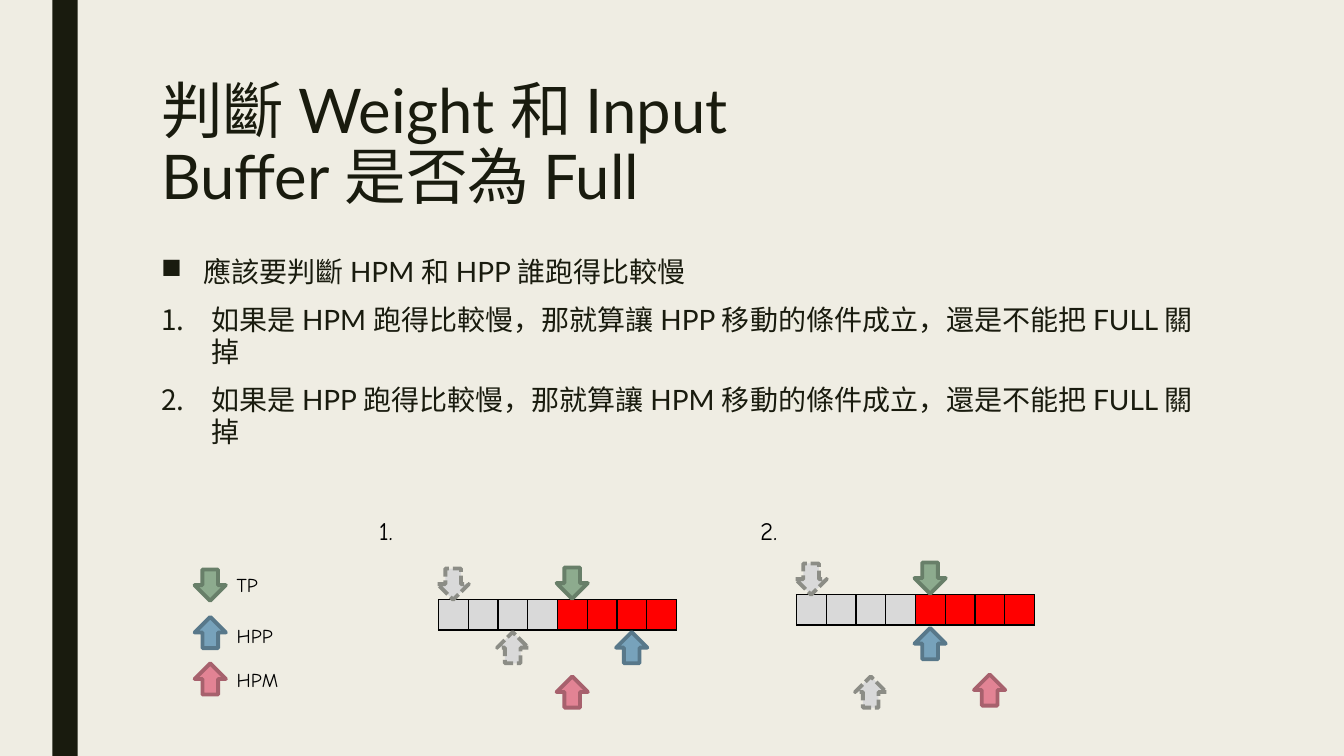
from dataclasses import dataclass

from lxml.etree import SubElement
from pptx import Presentation
from pptx.dml.color import RGBColor
from pptx.enum.dml import MSO_LINE
from pptx.enum.shapes import MSO_SHAPE as Shape
from pptx.enum.text import MSO_ANCHOR as Anchor, MSO_AUTO_SIZE as AutoSize, PP_ALIGN as Align
from pptx.oxml.ns import qn
from pptx.slide import Slide
from pptx.util import Inches, Pt

COLORS = {
    "background": "EFEDE3", "ink": "191B0E", "black": "000000",
    "free": "D9D9D9", "used": "FF0000",
    "TP": "8DAB8E", "TP line": "687F69",
    "HPP": "77A2BB", "HPP line": "58788A",
    "HPM": "E28394", "HPM line": "A7616D",
    "old": "D9D9D9", "old line": "8C8D86",
}
TEXT_FONT = "Lato"
LABEL_FONT = "Comic Neue"
ARROW_SIZE = 0.31
CELL_WIDTH = 0.295
CELL_HEIGHT = 0.3
HALF = 4


@dataclass(frozen=True)
class Pointer:
    kind: str
    cell: int
    offset: float
    up: bool


@dataclass(frozen=True)
class Buffer:
    left: float
    top: float
    pointers: tuple[Pointer, ...]


@dataclass(frozen=True)
class Label:
    text: str
    left: float
    top: float
    width: float
    height: float
    size: int


@dataclass(frozen=True)
class LegendEntry:
    label: Label
    arrow_top: float
    up: bool


@dataclass(frozen=True)
class Item:
    text: str
    indent: float
    bullet: str
    attribute: str
    value: str


BUFFERS = (
    Buffer(4.35, 5.95, (
        Pointer("TP", 4, -0.32, False), Pointer("HPP", 6, 0.32, True),
        Pointer("old", 0, -0.31, False), Pointer("HPM", 4, 0.76, True),
        Pointer("old", 2, 0.32, True))),
    Buffer(7.9, 5.9, (
        Pointer("TP", 4, -0.32, False), Pointer("HPP", 4, 0.33, True),
        Pointer("old", 0, -0.31, False), Pointer("HPM", 6, 0.79, True),
        Pointer("old", 2, 0.81, True))),
)
LEGEND = (
    LegendEntry(Label("TP", 2.25, 5.63, 0.44, 0.34, 14), 5.65, False),
    LegendEntry(Label("HPP", 2.25, 6.14, 0.56, 0.34, 14), 6.12, True),
    LegendEntry(Label("HPM", 2.25, 6.58, 0.63, 0.34, 14), 6.58, True),
)
CASE_LABELS = (
    Label("1.", 3.66, 5.06, 0.38, 0.4, 18),
    Label("2.", 7.44, 5.06, 0.42, 0.4, 18),
)
ITEMS = (
    Item("應該要判斷 HPM 和 HPP 誰跑得比較慢", 0.42, "a:buChar", "char", "■"),
    Item("如果是 HPM 跑得比較慢，那就算讓 HPP 移動的條件成立，還是不能把 FULL 關掉",
         0.5, "a:buAutoNum", "type", "arabicPeriod"),
    Item("如果是 HPP 跑得比較慢，那就算讓 HPM 移動的條件成立，還是不能把 FULL 關掉",
         0.5, "a:buAutoNum", "type", "arabicPeriod"),
)


def color(name: str) -> RGBColor:
    return RGBColor.from_string(COLORS[name])


def add_run(paragraph, text: str, font: str, size: int, ink: str) -> None:
    run = paragraph.add_run()
    run.text = text
    run.font.name = font
    run.font.size = Pt(size)
    run.font.color.rgb = color(ink)


def add_band(slide: Slide) -> None:
    band = slide.shapes.add_shape(Shape.RECTANGLE, Inches(0.52), 0, Inches(0.25), Inches(7.5))
    band.shadow.inherit = False
    band.fill.solid()
    band.fill.fore_color.rgb = color("ink")
    band.line.fill.background()


def fill_title(slide: Slide) -> None:
    title = slide.shapes.title
    title.left, title.top = Inches(1.5), Inches(0.75)
    title.width, title.height = Inches(10.5), Inches(1.62)
    frame = title.text_frame
    frame.word_wrap = True
    frame.auto_size = AutoSize.NONE
    frame.vertical_anchor = Anchor.TOP
    paragraph = frame.paragraphs[0]
    paragraph.alignment = Align.LEFT
    paragraph.line_spacing = 0.89
    add_run(paragraph, "判斷 Weight 和 Input ", TEXT_FONT, 44, "ink")
    paragraph.add_line_break()
    add_run(paragraph, "Buffer 是否為 Full", TEXT_FONT, 44, "ink")


def add_body(slide: Slide) -> None:
    body = slide.shapes.add_textbox(Inches(1.5), Inches(2.5), Inches(10.5), Inches(2.2))
    frame = body.text_frame
    frame.word_wrap = True
    for index, item in enumerate(ITEMS):
        paragraph = frame.paragraphs[0] if index == 0 else frame.add_paragraph()
        paragraph.line_spacing = 0.94
        paragraph.space_before = Pt(10 if index else 0)
        paragraph.space_after = Pt(2)
        properties = paragraph._p.get_or_add_pPr()
        properties.set("marL", str(Inches(item.indent)))
        properties.set("indent", str(-Inches(item.indent)))
        SubElement(properties, qn(item.bullet)).set(item.attribute, item.value)
        add_run(paragraph, item.text, TEXT_FONT, 20, "ink")


def add_label(slide: Slide, label: Label) -> None:
    box = slide.shapes.add_textbox(Inches(label.left), Inches(label.top),
                                   Inches(label.width), Inches(label.height))
    box.text_frame.word_wrap = False
    box.text_frame.auto_size = AutoSize.SHAPE_TO_FIT_TEXT
    add_run(box.text_frame.paragraphs[0], label.text, LABEL_FONT, label.size, "black")


def add_arrow(slide: Slide, kind: str, left: float, top: float, up: bool) -> None:
    arrow = slide.shapes.add_shape(Shape.DOWN_ARROW, Inches(left), Inches(top),
                                   Inches(ARROW_SIZE), Inches(ARROW_SIZE))
    arrow.shadow.inherit = False
    arrow.rotation = 180 if up else 0
    arrow.fill.solid()
    arrow.fill.fore_color.rgb = color(kind)
    arrow.line.color.rgb = color(f"{kind} line")
    arrow.line.width = Pt(2.75)
    if kind == "old":
        arrow.line.dash_style = MSO_LINE.SQUARE_DOT


def format_cell(cell, fill: str) -> None:
    cell.margin_left = cell.margin_right = cell.margin_top = cell.margin_bottom = 0
    SubElement(cell.text_frame.paragraphs[0]._p, qn("a:endParaRPr")).set("sz", "1000")
    properties = cell._tc.get_or_add_tcPr()
    for side in ("a:lnL", "a:lnR", "a:lnT", "a:lnB"):
        border = SubElement(properties, qn(side), w=str(Pt(1)))
        solid = SubElement(border, qn("a:solidFill"))
        SubElement(solid, qn("a:srgbClr"), val=COLORS["black"])
    cell.fill.solid()
    cell.fill.fore_color.rgb = color(fill)


def add_cells(slide: Slide, left: float, top: float, fill: str) -> None:
    table = slide.shapes.add_table(1, HALF, Inches(left), Inches(top),
                                   Inches(HALF * CELL_WIDTH), Inches(CELL_HEIGHT)).table
    table.first_row = table.horz_banding = False
    for cell in table.iter_cells():
        format_cell(cell, fill)


def add_buffer(slide: Slide, buffer: Buffer) -> None:
    add_cells(slide, buffer.left + HALF * CELL_WIDTH, buffer.top, "used")
    add_cells(slide, buffer.left, buffer.top, "free")
    for pointer in buffer.pointers:
        add_arrow(slide, pointer.kind, buffer.left + pointer.cell * CELL_WIDTH - 0.01,
                  buffer.top + pointer.offset, pointer.up)


def main() -> None:
    presentation = Presentation()
    presentation.slide_width, presentation.slide_height = Inches(13.33), Inches(7.5)
    slide = presentation.slides.add_slide(presentation.slide_layouts[5])
    slide.background.fill.solid()
    slide.background.fill.fore_color.rgb = color("background")
    add_band(slide)
    fill_title(slide)
    add_body(slide)
    for buffer in BUFFERS:
        add_buffer(slide, buffer)
    for entry in LEGEND:
        add_arrow(slide, entry.label.text, 1.93, entry.arrow_top, entry.up)
        add_label(slide, entry.label)
    for label in CASE_LABELS:
        add_label(slide, label)
    presentation.save("out.pptx")


if __name__ == "__main__":
    main()
